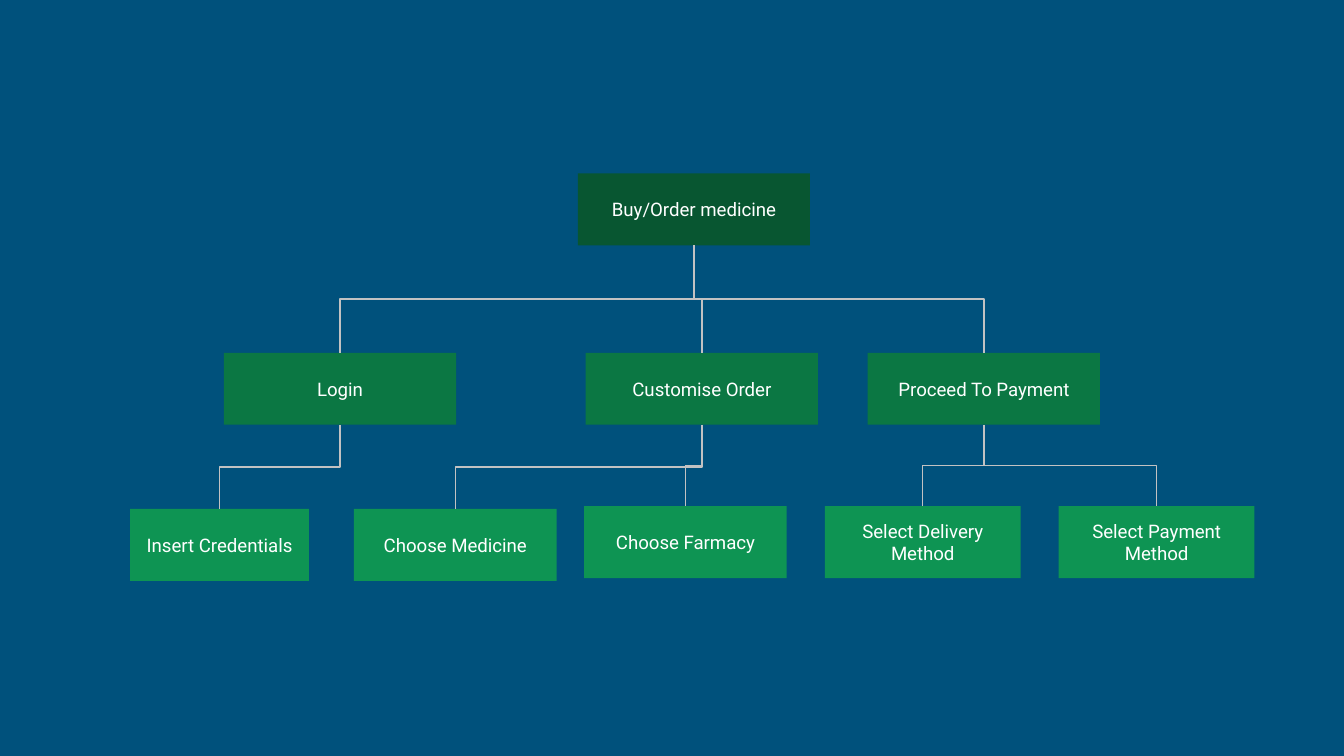
from lxml import etree
from pptx import Presentation
from pptx.dml.color import RGBColor
from pptx.enum.shapes import MSO_CONNECTOR, MSO_SHAPE
from pptx.enum.text import MSO_ANCHOR, PP_ALIGN
from pptx.oxml.ns import qn
from pptx.util import Cm, Pt

ELBOW = MSO_CONNECTOR.ELBOW
RECT = MSO_SHAPE.RECTANGLE
MIDDLE = MSO_ANCHOR.MIDDLE
CENTER = PP_ALIGN.CENTER

DARK, MID, LIGHT = "085631", "0B7743", "0E9453"
HIGH = 1.36


def hue(code):
    return RGBColor.from_string(code)


def write(box, text, font="Roboto", size=10, color="FFFFFF", align=CENTER):
    frame = box.text_frame
    frame.word_wrap = True
    frame.vertical_anchor = MIDDLE
    frame.margin_left = frame.margin_right = Cm(0.25)
    frame.margin_top = frame.margin_bottom = Cm(0.25)
    para = frame.paragraphs[0]
    para.alignment = align
    run = para.add_run()
    run.text = text
    run.font.name = font
    run.font.size = Pt(size)
    run.font.color.rgb = hue(color)


deck = Presentation()
deck.slide_width, deck.slide_height = Cm(25.4), Cm(14.29)
slide = deck.slides.add_slide(deck.slide_layouts[6])

# Background
slide.background.fill.solid()
slide.background.fill.fore_color.rgb = hue("00517C")

# Task tree: text, parent, left, top, width, fill
tasks = [
    ("Buy/Order medicine", None, 10.92, 3.28, 4.39, DARK),
    ("Login", "Buy/Order medicine", 4.23, 6.67, 4.39, MID),
    ("Customise Order", "Buy/Order medicine", 11.07, 6.67, 4.39, MID),
    ("Proceed To Payment", "Buy/Order medicine", 16.4, 6.67, 4.39, MID),
    ("Insert Credentials", "Login", 2.46, 9.62, 3.38, LIGHT),
    ("Choose Medicine", "Customise Order", 6.69, 9.62, 3.83, LIGHT),
    ("Choose Farmacy", "Customise Order", 11.04, 9.57, 3.83, LIGHT),
    ("Select Delivery Method", "Proceed To Payment", 15.59, 9.57, 3.7, LIGHT),
    ("Select Payment Method", "Proceed To Payment", 20.01, 9.57, 3.7, LIGHT),
]

# Boxes
boxes = {}
for text, _, left, top, width, fill in tasks:
    box = slide.shapes.add_shape(RECT, Cm(left), Cm(top), Cm(width), Cm(HIGH))
    box.shadow.inherit = False
    box.fill.solid()
    box.fill.fore_color.rgb = hue(fill)
    box.line.fill.background()
    write(box, text)
    boxes[text] = box

# Elbow links from the foot of each parent to the head of its child
for text, owner, *_ in tasks:
    if owner is None:
        continue
    head, child = boxes[owner], boxes[text]
    x1, y1 = head.left + head.width // 2, head.top + head.height
    x2, y2 = child.left + child.width // 2, child.top
    link = slide.shapes.add_connector(ELBOW, x1, y1, x2, y2)
    link.begin_connect(head, 2)
    link.end_connect(child, 0)
    link.line.color.rgb = hue("C2C2C2")
    link.line.width = Pt(0.75)

    # Turn the elbow a quarter, so that it leaves and arrives upright
    link.width, link.height = y2 - y1, abs(x2 - x1)
    link.left = (x1 + x2 - link.width) // 2
    link.top = (y1 + y2 - link.height) // 2
    props = link._element.spPr
    right = x2 > x1
    props.xfrm.set("rot", "16200000" if right else "5400000")
    props.xfrm.set("flipH", "1" if right else "0")
    props.xfrm.set("flipV", "0")
    etree.SubElement(props, qn("a:effectLst"))

deck.save("out.pptx")
